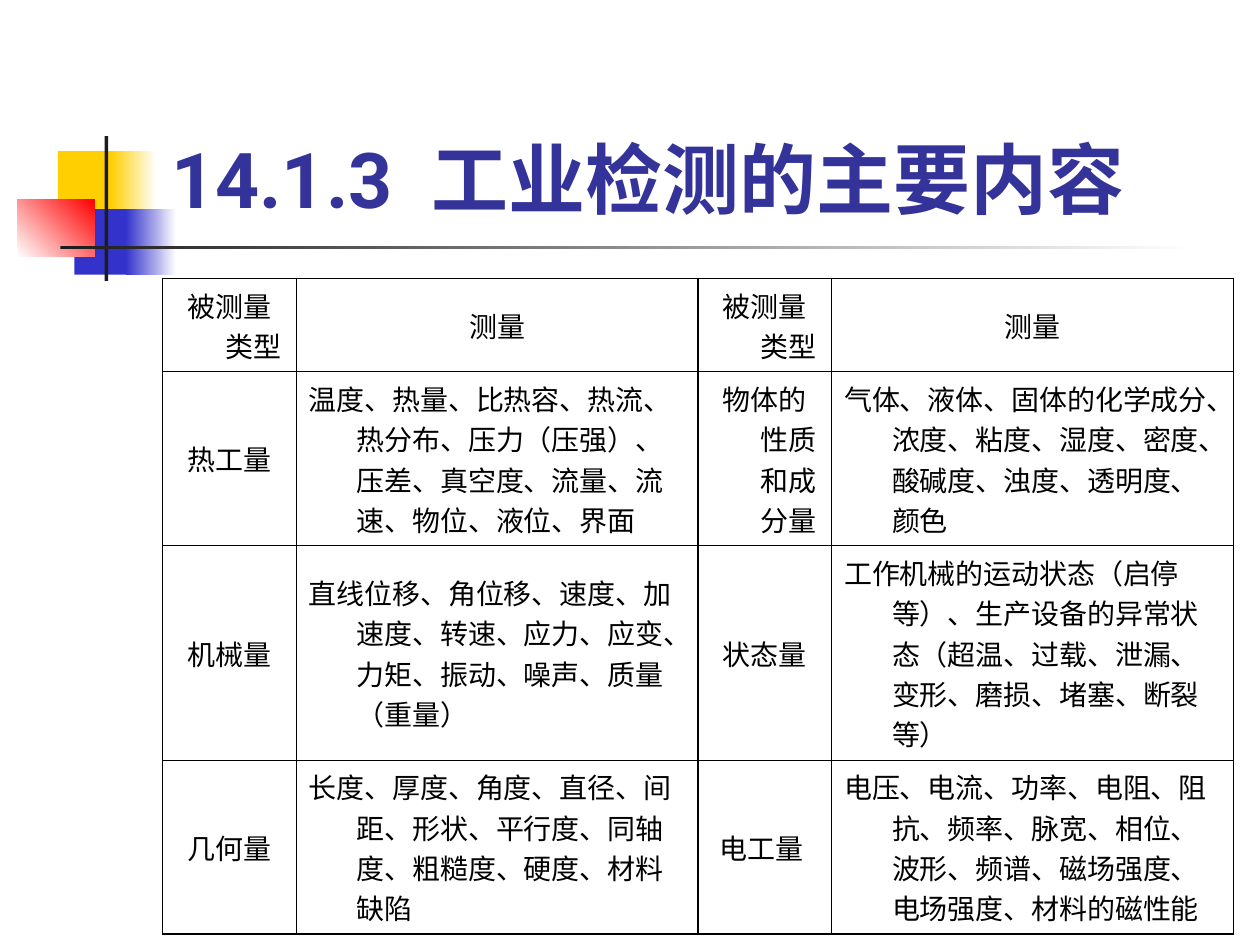
from lxml.etree import SubElement
from pptx import Presentation
from pptx.dml.color import RGBColor
from pptx.enum.shapes import MSO_SHAPE
from pptx.enum.text import MSO_ANCHOR, MSO_AUTO_SIZE, PP_ALIGN
from pptx.oxml.ns import qn
from pptx.util import Inches, Pt

BLACK = RGBColor(0x00, 0x00, 0x00)
WHITE = RGBColor(0xFF, 0xFF, 0xFF)
YELLOW = RGBColor(0xFF, 0xCF, 0x01)
BLUE = RGBColor(0x33, 0x33, 0xCC)
RED = RGBColor(0xFF, 0x00, 0x00)
DARK = RGBColor(0x1C, 0x1C, 0x1C)
NAVY = RGBColor(0x33, 0x33, 0x99)

TITLE_FORMAT = {"name": "Roboto", "size": Pt(44), "bold": True}
CELL_FORMAT = {"name": "Times New Roman", "size": Pt(16), "bold": False}
THIN, THICK = Pt(0.45), Pt(0.96)
HANG = Inches(0.38)

COL_WIDTHS = [1.06, 3.19] * 2
ROW_HEIGHTS = [0.71, 1.26, 1.43, 1.26]
ROWS = [
    ["被测量类型", "测量", "被测量类型", "测量"],
    ["热工量",
     "温度、热量、比热容、热流、热分布、压力（压强）、压差、真空度、流量、流速、物位、液位、界面",
     "物体的性质和成分量",
     "气体、液体、固体的化学成分、浓度、粘度、湿度、密度、酸碱度、浊度、透明度、颜色"],
    ["机械量",
     "直线位移、角位移、速度、加速度、转速、应力、应变、力矩、振动、噪声、质量（重量）",
     "状态量",
     "工作机械的运动状态（启停等）、生产设备的异常状态（超温、过载、泄漏、变形、磨损、堵塞、断裂等）"],
    ["几何量",
     "长度、厚度、角度、直径、间距、形状、平行度、同轴度、粗糙度、硬度、材料缺陷",
     "电工量 ",
     "电压、电流、功率、电阻、阻抗、频率、脉宽、相位、波形、频谱、磁场强度、电场强度、材料的磁性能"],
]

ORNAMENT = [
    (0.32, 0.12, 0.48, 0.52, [YELLOW], 0),
    (0.74, 0.12, 0.36, 0.52, [YELLOW, WHITE], 0),
    (0.45, 0.58, 0.46, 0.52, [BLUE], 0),
    (0.86, 0.58, 0.40, 0.52, [BLUE, WHITE], 0),
    (0, 0.50, 0.61, 0.46, [WHITE, RED], 45),
    (0.69, 0, 0.03, 1.15, [DARK], 0),
    (0.34, 0.87, 9, 0.03, [DARK, WHITE], 0),
]


def set_font(font, values, color):
    for key, value in values.items():
        setattr(font, key, value)
    font.color.rgb = color


def add_ornament(s, left, top):
    for x, y, w, h, colors, angle in ORNAMENT:
        sp = s.shapes.add_shape(MSO_SHAPE.RECTANGLE, Inches(left + x), Inches(top + y),
                                Inches(w), Inches(h))
        sp.shadow.inherit = False
        sp.line.fill.background()
        if len(colors) == 1:
            sp.fill.solid()
            sp.fill.fore_color.rgb = colors[0]
            continue
        sp.fill.gradient()
        sp.fill.gradient_angle = angle
        for stop, color in zip(sp.fill.gradient_stops, colors):
            stop.color.rgb = color


def place_title(s, left, top, width, height):
    sp = s.shapes.title
    box = {"left": left, "top": top, "width": width, "height": height}
    for key, value in box.items():
        setattr(sp, key, Inches(value))
    tf = sp.text_frame
    tf.word_wrap = True
    tf.auto_size = MSO_AUTO_SIZE.NONE
    tf.vertical_anchor = MSO_ANCHOR.BOTTOM
    p = tf.paragraphs[0]
    p.alignment = PP_ALIGN.LEFT
    for text in ("14.1.3", " ", "工业检测的主要内容"):
        r = p.add_run()
        r.text = text
        set_font(r.font, TITLE_FORMAT, NAVY)
    p.runs[1]._r.get_or_add_rPr().set("spc", "1100")


def set_borders(cell, widths):
    tcPr = cell._tc.get_or_add_tcPr()
    for i, (side, width) in enumerate(widths.items()):
        ln = SubElement(tcPr, qn(f"a:ln{side}"), w=str(width))
        fill = SubElement(ln, qn("a:solidFill"))
        SubElement(fill, qn("a:srgbClr"), val=str(BLACK))
        tcPr.insert(i, ln)


def fill_cell(cell, text, centered):
    cell.fill.background()
    cell.vertical_anchor = MSO_ANCHOR.MIDDLE
    p = cell.text_frame.paragraphs[0]
    p.alignment = PP_ALIGN.CENTER if centered else PP_ALIGN.LEFT
    pPr = p._p.get_or_add_pPr()
    pPr.set("marL", str(HANG))
    pPr.set("indent", str(-HANG))
    r = p.add_run()
    r.text = text
    set_font(r.font, CELL_FORMAT, BLACK)


def add_quantity_table(s, left, top, width, height):
    table = s.shapes.add_table(len(ROWS), len(COL_WIDTHS), Inches(left), Inches(top),
                               Inches(width), Inches(height)).table
    table.first_row = table.horz_banding = False
    for col, w in zip(table.columns, COL_WIDTHS):
        col.width = Inches(w)
    for row, h in zip(table.rows, ROW_HEIGHTS):
        row.height = Inches(h)
    for i, texts in enumerate(ROWS):
        for j, text in enumerate(texts):
            cell = table.cell(i, j)
            fill_cell(cell, text, i == 0 or j % 2 == 0)
            set_borders(cell, {
                "L": THICK if j == 2 else THIN,
                "R": THICK if j == 1 else THIN,
                "T": THICK if i == 0 else THIN,
                "B": THICK if i == len(ROWS) - 1 else THIN,
            })


def main():
    prs = Presentation()
    prs.slide_width, prs.slide_height = Inches(10), Inches(7.5)
    s = prs.slides.add_slide(prs.slide_layouts[5])
    add_ornament(s, 0.14, 1.08)
    place_title(s, 1.26, 0.23, 8.52, 1.6)
    add_quantity_table(s, 1.29, 2.21, 8.5, 4.67)
    prs.save("out.pptx")


if __name__ == "__main__":
    main()
